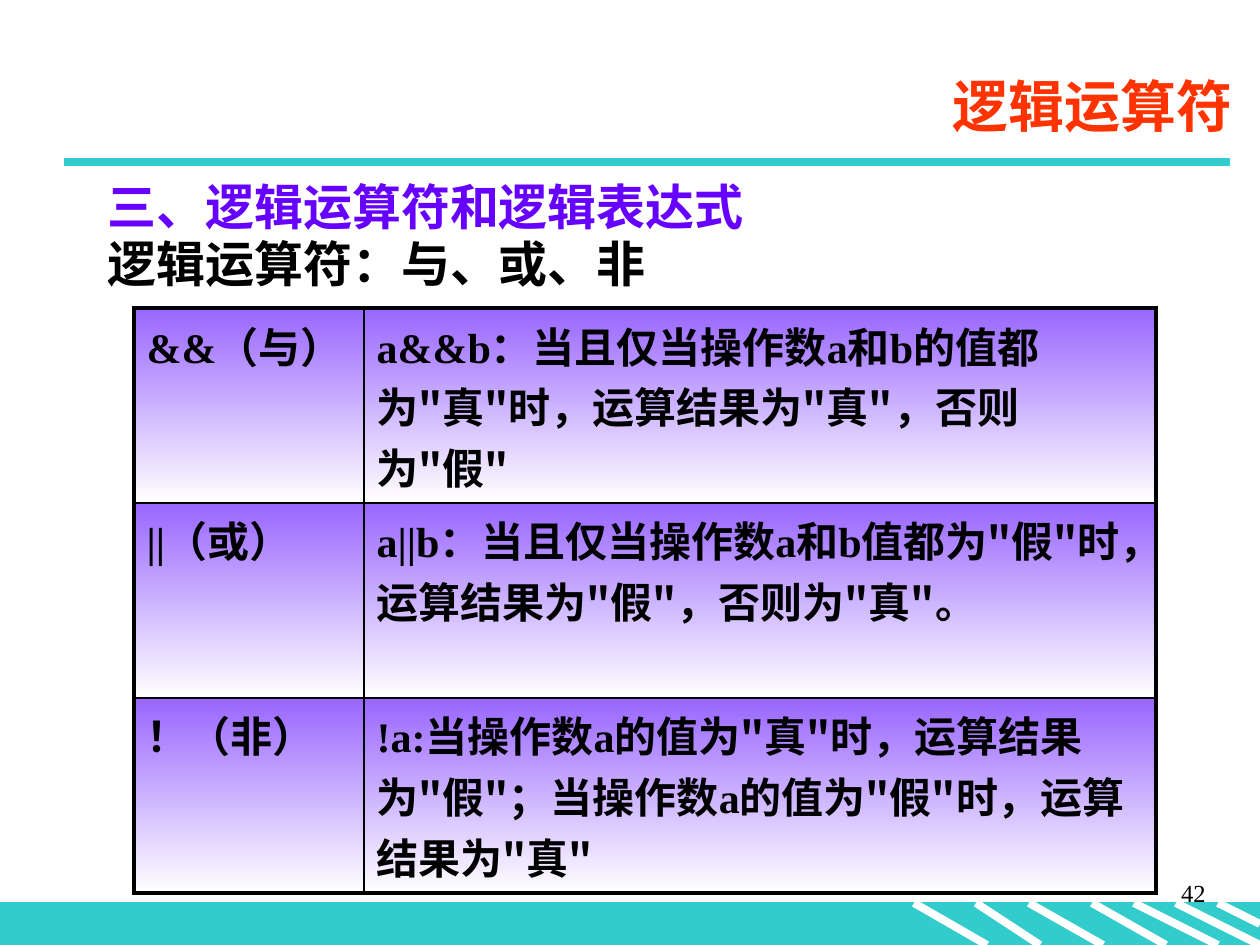
from lxml import etree
from pptx import Presentation
from pptx import util as u
from pptx.dml import color
from pptx.enum import shapes, text
from pptx.oxml import ns

SCALE = u.Inches(1) / 126
SERIF, SANS = "Times New Roman", "Noto Sans CJK SC"
BLACK, WHITE, TEAL, VIOLET = "000000", "FFFFFF", "33CCCC", "9966FF"
RIGHT, JUSTIFY = text.PP_ALIGN.RIGHT, text.PP_ALIGN.JUSTIFY
ROW_HEIGHT = 195

STRIPES = [(976, 1040, 945), (914, 987, 945), (1029, 1103, 945), (1176, 1260, 945),
           (1134, 1218, 945), (1218, 1260, 924), (1092, 1166, 945)]
OPERATORS = [
    ("&&（与）", 'a&&b：当且仅当操作数a和b的值都为"真"时，运算结果为"真"，否则为"假"'),
    ("||（或）", 'a||b：当且仅当操作数a和b值都为"假"时，运算结果为"假"，否则为"真"。'),
    ("！（非）", '!a:当操作数a的值为"真"时，运算结果为"假"；当操作数a的值为"假"时，运算结果为"真"'),
]


def px(length):
    return u.Emu(round(length * SCALE))


def rgb(code):
    return color.RGBColor.from_string(code)


def apply(target, values):
    for name, value in values.items():
        setattr(target, name, value)


def place(shape, left, top, width, height):
    apply(shape, {"left": px(left), "top": px(top), "width": px(width), "height": px(height)})


def add_run(paragraph, words, size, code=BLACK, face=SERIF, bold=True):
    run = paragraph.add_run()
    run.text = words
    apply(run.font, {"name": face, "size": u.Pt(size), "bold": bold})
    run.font.color.rgb = rgb(code)


def add_line(slide, start, end, code):
    line = slide.shapes.add_connector(shapes.MSO_CONNECTOR.STRAIGHT, *map(px, start + end))
    line.line.color.rgb = rgb(code)
    line.line.width = u.Pt(4.5)
    etree.SubElement(line._element.spPr, ns.qn("a:effectLst"))


def add_footer(slide):
    band = slide.shapes.add_shape(shapes.MSO_SHAPE.RECTANGLE, *map(px, (0, 903, 1260, 42)))
    band.shadow.inherit = False
    band.fill.solid()
    band.fill.fore_color.rgb = rgb(TEAL)
    band.line.color.rgb = rgb(TEAL)
    band.line.width = u.Pt(0.75)
    for start, end, bottom in STRIPES:
        add_line(slide, (start, 903), (end, bottom), WHITE)


def add_page_number(slide):
    frame = slide.shapes.add_textbox(*map(px, (956, 872, 262, 63))).text_frame
    frame.word_wrap = True
    paragraph = frame.paragraphs[0]
    paragraph.alignment = RIGHT
    add_run(paragraph, "42", 14, bold=False)


def fill_title(title):
    place(title, 174, 55, 1071, 100)
    apply(title.text_frame, {"vertical_anchor": text.MSO_ANCHOR.MIDDLE,
                             "auto_size": text.MSO_AUTO_SIZE.NONE})
    paragraph = title.text_frame.paragraphs[0]
    paragraph.alignment = RIGHT
    add_run(paragraph, "逻辑运算符", 32, "FF3300")


def fill_body(body):
    place(body, 95, 182, 1131, 635)
    frame = body.text_frame
    frame.auto_size = text.MSO_AUTO_SIZE.NONE
    heading, summary = frame.paragraphs[0], frame.add_paragraph()
    for paragraph, gap in ((heading, 0), (summary, 5.6)):
        properties = paragraph._p.get_or_add_pPr()
        apply(paragraph, {"line_spacing": 0.8, "space_before": u.Pt(gap)})
        properties.set("marL", str(px(48)))
        properties.set("indent", str(-px(48)))
        etree.SubElement(properties, ns.qn("a:buNone"))
    summary.alignment = JUSTIFY
    add_run(heading, "三、逻辑运算符和逻辑表达式", 28, "6600FF")
    add_run(summary, "逻辑运算符：与、或、非", 28, face=SANS)


def add_border(cell, side, points):
    line = etree.SubElement(cell._tc.get_or_add_tcPr(), ns.qn("a:ln" + side), w=str(u.Pt(points)))
    fill = etree.SubElement(line, ns.qn("a:solidFill"))
    etree.SubElement(fill, ns.qn("a:srgbClr"), val=BLACK)


def fill_cell(cell, words, outer_sides):
    for side in "LRTB":
        add_border(cell, side, 2.25 if side in outer_sides else 1)
    cell.fill.gradient()
    cell.fill.gradient_angle = 270
    for stop, position, code in zip(cell.fill.gradient_stops, (0, 1), (VIOLET, WHITE)):
        stop.position = position
        stop.color.rgb = rgb(code)
    paragraph = cell.text_frame.paragraphs[0]
    for index, part in enumerate(words.split('"')):
        if index:
            add_run(paragraph, '"', 24, face=SANS)
        if part:
            add_run(paragraph, part, 24)


def add_operator_table(slide):
    count = len(OPERATORS)
    frame = slide.shapes.add_table(count, 2, *map(px, (134, 308, 1022, count * ROW_HEIGHT)))
    table = frame.table
    apply(table, {"first_row": False, "horz_banding": False})
    for column, width in zip(table.columns, (230, 792)):
        column.width = px(width)
    for row, operator, edge in zip(table.rows, OPERATORS, ("T", "", "B")):
        row.height = px(ROW_HEIGHT)
        for cell, words, side in zip(row.cells, operator, "LR"):
            fill_cell(cell, words, edge + side)


def main():
    deck = Presentation()
    apply(deck, {"slide_width": px(1260), "slide_height": px(945)})
    slide = deck.slides.add_slide(deck.slide_layouts[1])
    add_footer(slide)
    add_line(slide, (64, 162), (1230, 162), TEAL)
    add_page_number(slide)
    fill_title(slide.shapes.title)
    fill_body(slide.placeholders[1])
    add_operator_table(slide)
    deck.save("out.pptx")


if __name__ == "__main__":
    main()
